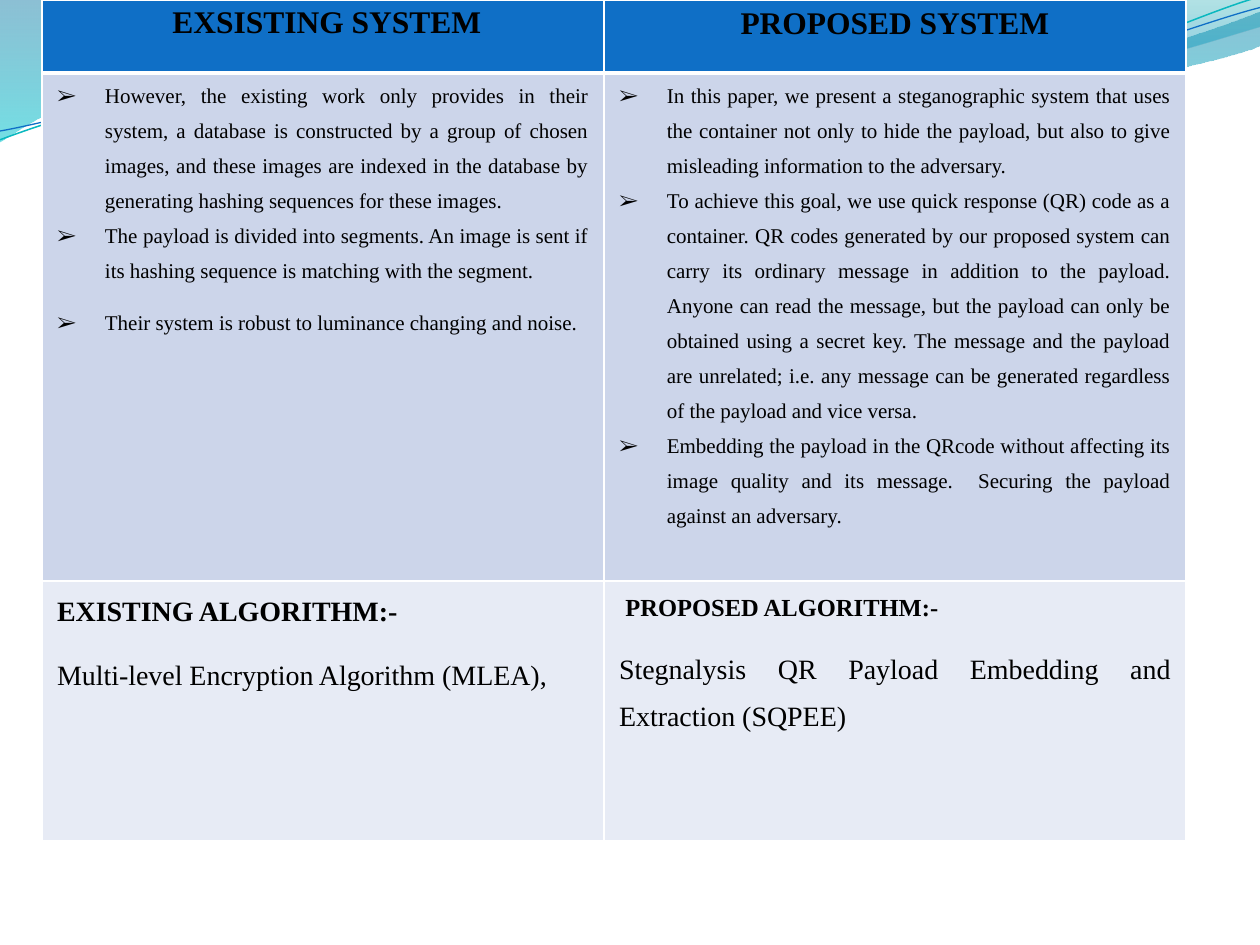
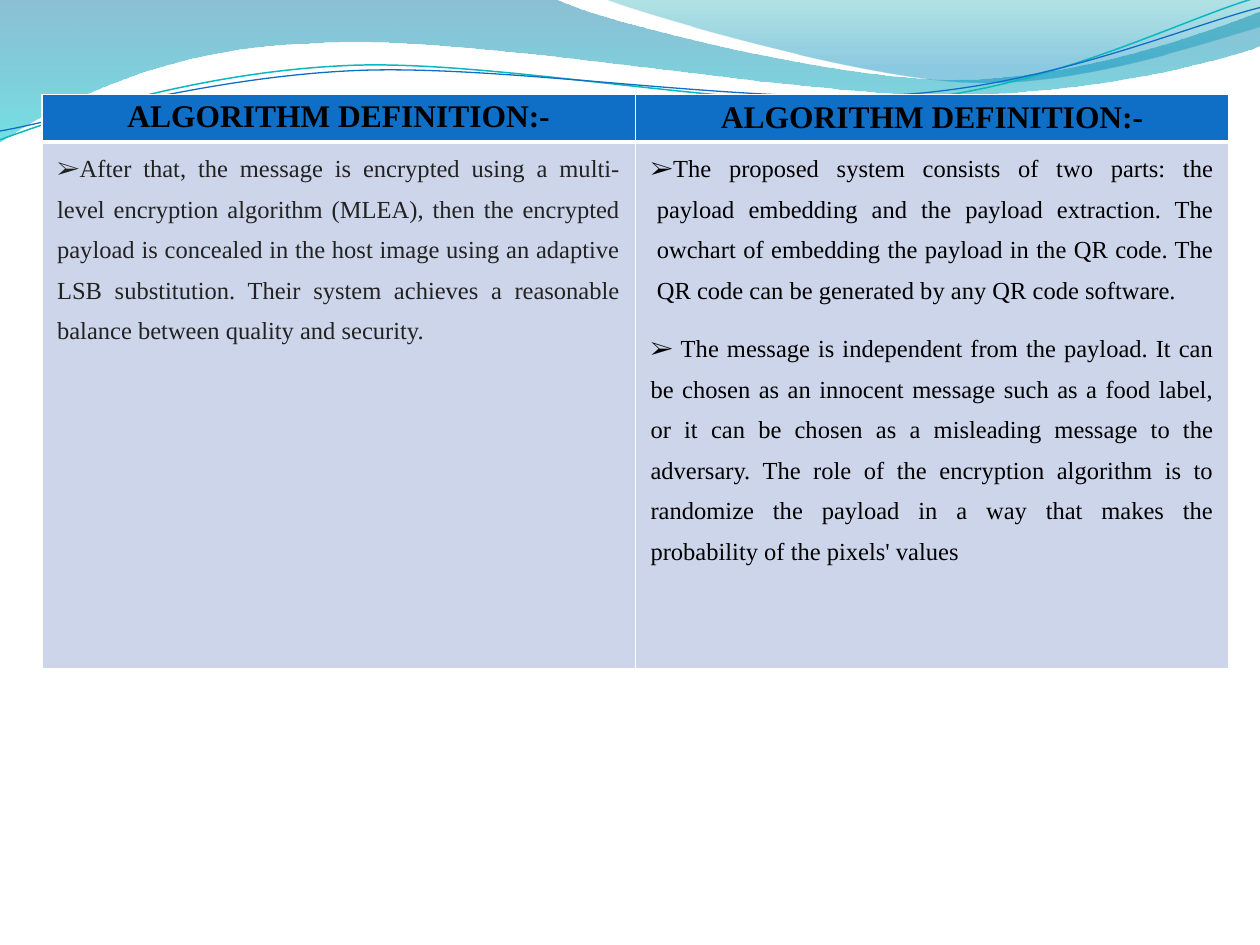
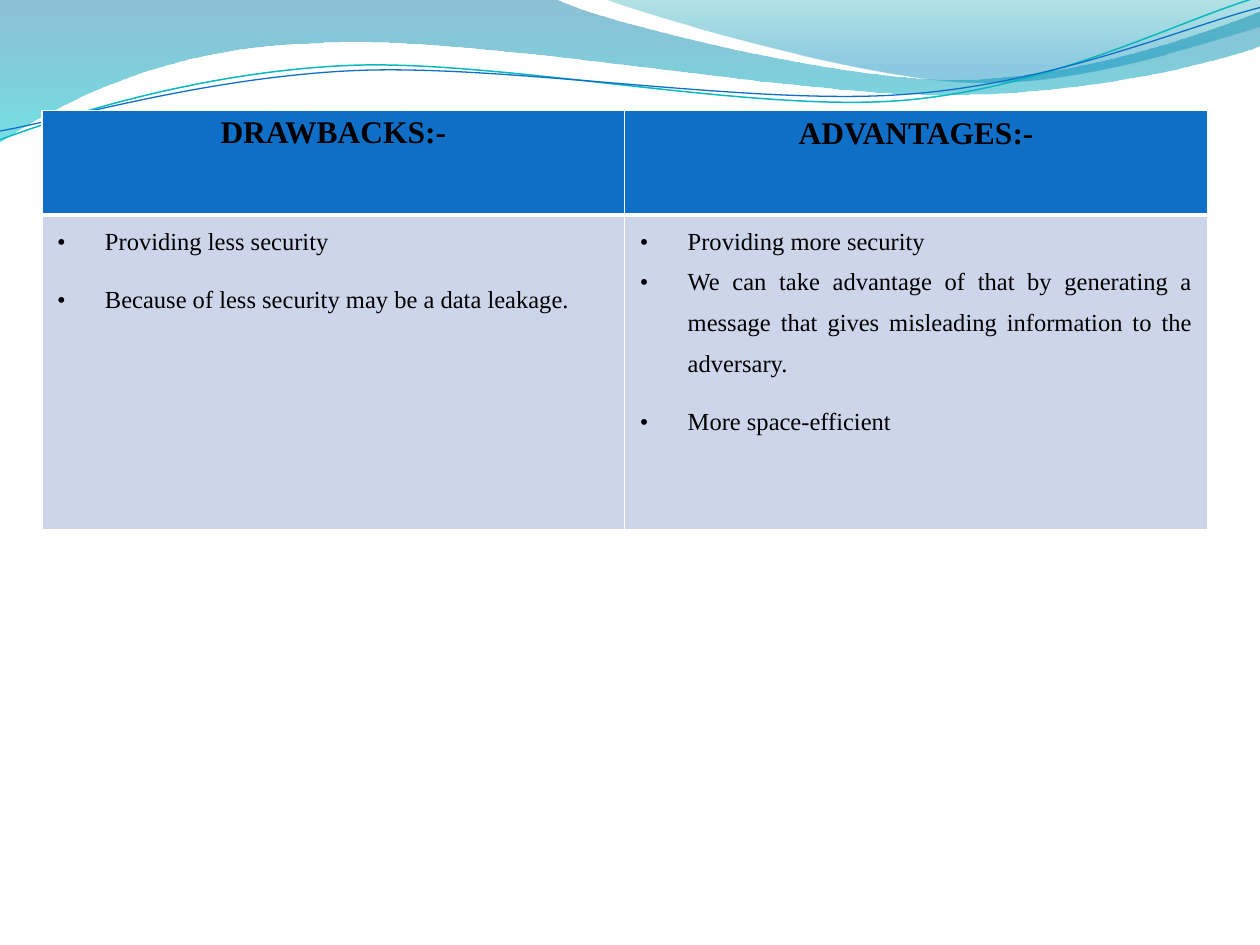
import pptx
import pptx.util
import pptx.dml.color
import pptx.enum.text
import pptx.oxml
import pptx.oxml.ns
from lxml import etree

INK = {"head": "0F6FC6", "band": "CCD5EA", "pale": "E7EBF5", "white": "FFFFFF",
       "black": "000000", "gray": "222222", "teal": "0AB8BF"}
FONT = "Times New Roman"
WIDE, HIGH = 10, 7.5
LEFT = WIDE / 30
ARROW, DOT = "➢", "•"
CENTER = pptx.enum.text.PP_ALIGN.CENTER
JUST = pptx.enum.text.PP_ALIGN.JUSTIFY
inch = pptx.util.Inches

# Waves in inches: a start point, then lines (2 numbers) or curves (6 numbers)
BANDS = [
    ([(0, 0), (4.4, -0.01), (4.76, 0.17, 6.64, 0.63, 7.58, 0.63),
      (8.53, 0.63, 9.58, 0.26, 10, 0.09), (10.01, 0.36),
      (9.83, 0.44, 8.7, 0.76, 7.46, 0.75), (6.22, 0.75, 3.82, 0.28, 2.57, 0.34),
      (1.29, 0.36, 0.46, 0.83, -0.01, 1.13), (0, 0)],
     [(0, "0074A1", 45), (1, "00C6CF", 55)]),
    ([(4.79, -0.01), (5.09, 0.11, 6.82, 0.62, 7.69, 0.65),
      (8.56, 0.69, 9.61, 0.32, 10, 0.21), (10, 0), (4.79, -0.01)],
     [(0, "00A1A9", 30), (0.8, "008BBF", 45)]),
]
STROKES = [
    ([(0, 1.11), (0.48, 0.93, 1.58, 0.57, 2.77, 0.52),
      (3.95, 0.47, 5.93, 0.89, 7.13, 0.8), (8.33, 0.71, 9.38, 0.15, 9.98, -0.02)],
     "teal", 0.85),
    ([(0, 1.04), (0.47, 0.96, 1.64, 0.61, 2.83, 0.56),
      (4.03, 0.51, 5.97, 0.84, 7.17, 0.75), (8.36, 0.67, 9.41, 0.21, 10, 0.06)],
     "head", 0.75),
]


def rgb(code):
    return pptx.dml.color.RGBColor.from_string(code)


def sub(node, tag, **attrs):
    return etree.SubElement(node, pptx.oxml.ns.qn(tag), attrs)


# Waves
def bend(shape, path):
    """Turn the straight parts that have control points into curves."""
    for line, part in zip(shape.element.xpath(".//a:lnTo"), path[1:]):
        if len(part) == 6:
            curve = sub(line.getparent(), "a:cubicBezTo")
            for x, y in zip(part[::2], part[1::2]):
                sub(curve, "a:pt", x=str(inch(x) - shape.left),
                    y=str(inch(y) - shape.top))
            line.getparent().replace(line, curve)


def outline(slide, path, close):
    ends = [(inch(part[-2]), inch(part[-1])) for part in path]
    pen = slide.shapes.build_freeform(*ends[0])
    pen.add_line_segments(ends[1:], close=close)
    shape = pen.convert_to_shape()
    shape.shadow.inherit = False
    bend(shape, path)
    return shape


def band(slide, path, stops):
    shape = outline(slide, path, True)
    shape.line.fill.background()
    shape.fill.gradient()
    shape.fill.gradient_angle = 270
    for stop, (place, code, _) in zip(shape.fill.gradient_stops, stops):
        stop.position = place
        stop.color.rgb = rgb(code)
    tints = shape.element.xpath(".//a:gs/a:srgbClr")
    for tint, (_, _, alpha) in zip(tints, stops):
        sub(tint, "a:alpha", val=str(alpha * 1000))
    return shape


def stroke(slide, path, ink, width):
    shape = outline(slide, path, False)
    shape.fill.background()
    shape.line.color.rgb = rgb(INK[ink])
    shape.line.width = pptx.util.Pt(width)
    return shape


def waves(prs, slide):
    """Draw the waves once and hand them to the slide master."""
    parts = [band(slide, *item) for item in BANDS]
    parts += [stroke(slide, *item) for item in STROKES]
    for num, shape in enumerate(parts, 101):
        shape.element.xpath("./p:nvSpPr/p:cNvPr")[0].set("id", str(num))
        prs.slide_master.shapes.element.append(shape.element)


# Table text
def para(text, size=12, bold=False, ink="black", align=JUST, mark=None,
         left=0, hang=0, lead=1.5, after=10):
    return dict(text=text, size=size, bold=bold, ink=ink, align=align, mark=mark,
                left=left, hang=hang, lead=lead, after=after)


def title(text, lead=1.15):
    return para(text, 18, True, align=CENTER, lead=lead)


def item(text, mark, size, after=10):
    return para(text, size, mark=mark, left=0.38, hang=-0.38, after=after)


def write(frame, paras):
    for num, spec in enumerate(paras):
        p = frame.paragraphs[0] if num == 0 else frame.add_paragraph()
        p.alignment = spec["align"]
        p.line_spacing = spec["lead"]
        p.space_before = pptx.util.Pt(0)
        p.space_after = pptx.util.Pt(spec["after"])
        props = p._p.get_or_add_pPr()
        props.set("marL", str(inch(spec["left"])))
        props.set("indent", str(inch(spec["hang"])))
        if spec["mark"]:
            sub(props, "a:buFont", typeface=FONT)
            sub(props, "a:buChar", char=spec["mark"])
        run = p.add_run()
        run.text = spec["text"]
        run.font.name = FONT
        run.font.size = pptx.util.Pt(spec["size"])
        run.font.bold = spec["bold"]
        run.font.color.rgb = rgb(INK[spec["ink"]])


# Tables
def edges(cell, top, base):
    props = cell._tc.get_or_add_tcPr()
    sides = (("L", 1), ("R", 1), ("T", top), ("B", base))
    for place, (side, width) in enumerate(sides):
        line = sub(props, "a:ln" + side, w=str(pptx.util.Pt(width)))
        sub(sub(line, "a:solidFill"), "a:srgbClr", val=INK["white"])
        props.insert(place, line)


def grid(slide, top, cols, rows, cells):
    """Place a two-column table with a blue head row and pale bands."""
    table = slide.shapes.add_table(len(rows), len(cols), inch(LEFT), inch(top),
                                   inch(sum(cols)), inch(sum(rows))).table
    table.first_row = table.horz_banding = False
    for col, width in zip(table.columns, cols):
        col.width = inch(width)
    for r, (height, line) in enumerate(zip(rows, cells)):
        table.rows[r].height = inch(height)
        for c, paras in enumerate(line):
            cell = table.cell(r, c)
            if (r, c) != (0, 1):
                cell.margin_left = cell.margin_right = inch(0.12)
                cell.margin_top = cell.margin_bottom = 0
            cell.fill.solid()
            cell.fill.fore_color.rgb = rgb(INK[("head", "band", "pale")[r]])
            edges(cell, 3 if r == 1 else 1, 3 if r == 0 else 1)
            write(cell.text_frame, paras)


# Slides
def systems(slide):
    old = [
        item("However, the existing work only provides in their system, a database is "
             "constructed by a group of chosen images, and these images are indexed in "
             "the database by generating hashing sequences for these images. ",
             ARROW, 12, 0),
        item("The payload is divided into segments. An image is sent if its hashing "
             "sequence is matching with the segment. ", ARROW, 12),
        item("Their system is robust to luminance changing and noise.", ARROW, 12),
    ]
    new = [
        item("In this paper, we present a steganographic system that uses the container "
             "not only to hide the payload, but also to give misleading information to "
             "the adversary.", ARROW, 12, 0),
        item("To achieve this goal, we use quick response (QR) code as a container. QR "
             "codes generated by our proposed system can carry its ordinary message in "
             "addition to the payload. Anyone can read the message, but the payload can "
             "only be obtained using a secret key. The message and the payload are "
             "unrelated; i.e. any message can be generated regardless of the payload "
             "and vice versa.", ARROW, 12, 0),
        item("Embedding the payload in the QRcode without affecting its image quality "
             "and its message.  Securing the payload against an adversary.", ARROW, 12),
    ]
    grid(slide, 0, (4.46, 4.62), (0.58, 4.03, 2.06), [
        [[title(" EXSISTING SYSTEM")], [title("PROPOSED SYSTEM", 1)]],
        [old, new],
        [[para("EXISTING ALGORITHM:-", 16, True),
          para("Multi-level Encryption Algorithm (MLEA),", 16)],
         [para("PROPOSED ALGORITHM:-", 14, True, left=0.05),
          para("Stegnalysis QR Payload Embedding and Extraction (SQPEE)", 16)]],
    ])


def methods(slide):
    old = [para("After that, the message is encrypted using a multi-level encryption "
                "algorithm (MLEA), then the encrypted payload is concealed in the host "
                "image using an adaptive LSB substitution. Their system achieves a "
                "reasonable balance between quality and security.",
                14, ink="gray", mark=ARROW)]
    new = [
        para("The proposed system consists of two parts: the payload embedding and the "
             "payload extraction. The owchart of embedding the payload in the QR code. "
             "The QR code can be generated by any QR code software.",
             14, mark=ARROW, left=0.05, hang=-0.05),
        para(" The message is independent from the payload. It can be chosen as an "
             "innocent message such as a food label, or it can be chosen as a misleading "
             "message to the adversary. The role of the encryption algorithm is to "
             "randomize the payload in a way that makes the probability of the pixels' "
             "values", 14, mark=ARROW),
    ]
    name = "ALGORITHM DEFINITION:-"
    grid(slide, HIGH / 10, (4.71, 4.71), (0.37, 4.18),
         [[[title(name)], [title(name, 1)]], [old, new]])


def merits(slide):
    cons = [item("Providing less security", DOT, 14),
            item("Because of less security may be a data leakage.", DOT, 14)]
    pros = [item("Providing more security", DOT, 14, 0),
            item("We can take advantage of that by generating a message that gives "
                 "misleading information to the adversary.", DOT, 14),
            item("More space-efficient", DOT, 14)]
    half = 9.25 / 2
    grid(slide, 7 / 8, (half, half), (0.83, 2.5),
         [[[title("DRAWBACKS:-")], [title("ADVANTAGES:-", 1)]], [cons, pros]])


def main():
    prs = pptx.Presentation()
    prs.slide_width, prs.slide_height = inch(WIDE), inch(HIGH)
    blank = prs.slide_layouts[6]
    for num, fill in enumerate((systems, methods, merits)):
        slide = prs.slides.add_slide(blank)
        if num == 0:
            waves(prs, slide)
        fill(slide)
    prs.save("out.pptx")


if __name__ == "__main__":
    main()
